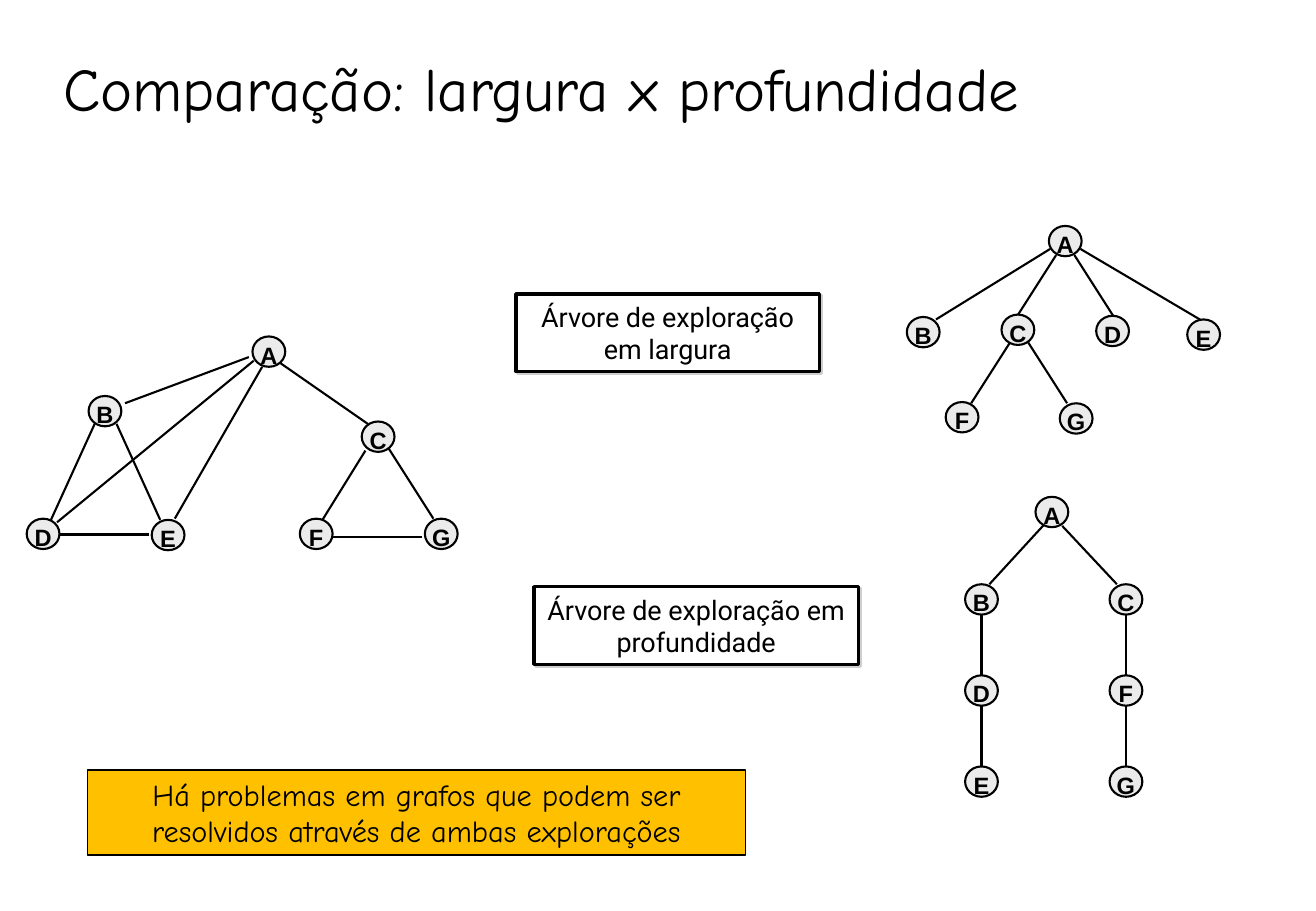
from lxml import etree
from pptx import Presentation
from pptx.dml.color import RGBColor as Rgb
from pptx.enum.shapes import MSO_CONNECTOR as Link, MSO_SHAPE as Shape
from pptx.enum.text import MSO_ANCHOR as Anchor, MSO_AUTO_SIZE as Fit, PP_ALIGN as Align
from pptx.oxml.ns import qn
from pptx.util import Inches, Pt

# Grid of square cells, ten to the inch
COLUMNS, ROWS = 108.4, 75
NODE_WIDTH, NODE_HEIGHT = 2.7, 2.5

COLORS = {"ink": "000000", "paper": "FFFFFF", "node": "EBEBEB",
          "note": "FFC000", "shadow": "CECECE"}

# Each graph: node -> (column, row), then edges as start and end points
GRAPH = {
    "nodes": {"A": (20.8, 27.7), "B": (7.3, 32.6), "C": (29.8, 34.7),
              "D": (2.2, 42.7), "E": (12.5, 42.8), "F": (24.7, 42.7),
              "G": (35, 42.7)},
    "edges": [(23.1, 29.9, 30.3, 34.9), (30.1, 37.1, 26.5, 42.9),
              (32, 36.9, 35.7, 42.7), (27.4, 44.2, 34.8, 44.2),
              (4.9, 44, 12.3, 44), (14.4, 42.7, 21.6, 30.2),
              (10.3, 33.2, 20.5, 29.4), (4.7, 43, 20.9, 29.7),
              (9.6, 34.9, 13.2, 42.8), (7.8, 34.9, 4.2, 42.8)],
}
BREADTH_TREE = {
    "nodes": {"A": (86.4, 18.6), "B": (74.7, 26.1), "C": (82.5, 25.9),
              "D": (90.3, 26), "E": (97.8, 26.3), "F": (77.9, 33.1),
              "G": (87.3, 33.2)},
    "edges": [(77.1, 26.3, 86.5, 20.5), (87, 21, 83.8, 26),
              (88.5, 21, 91.7, 26), (89, 20.5, 99, 26.4),
              (83.2, 28.2, 80, 33.2), (84.7, 28.2, 87.9, 33.2)],
}
LEFT, RIGHT = 79.5, 91.4
LEVELS = (48.1, 55.6, 63.1)
DEPTH_TREE = {
    "nodes": {"A": (85.3, 40.9),
              **{name: (LEFT, level) for name, level in zip("BDE", LEVELS)},
              **{name: (RIGHT, level) for name, level in zip("CFG", LEVELS)}},
    "edges": [(86, 43.2, 81.5, 48.1), (87.5, 43.3, 92, 48.1)] + [
        (left + NODE_WIDTH / 2, upper + NODE_HEIGHT, left + NODE_WIDTH / 2, lower)
        for left in (LEFT, RIGHT) for upper, lower in zip(LEVELS, LEVELS[1:])],
}


def cells(*counts):
    return [Inches(count / 10) for count in counts]


def color(name):
    return Rgb.from_string(COLORS[name])


def write(box, text, font="Arial", size=14, bold=False, align=Align.CENTER,
          anchor=Anchor.MIDDLE, insets=(1, 0.5, 1, 0.5), wrap=True, spacing=None):
    frame = box.text_frame
    frame.auto_size = Fit.NONE
    frame.word_wrap = wrap
    frame.vertical_anchor = anchor
    (frame.margin_left, frame.margin_top,
     frame.margin_right, frame.margin_bottom) = cells(*insets)
    para = frame.paragraphs[0]
    para.alignment = align
    para.line_spacing = spacing
    span = para.add_run()
    span.text = text
    span.font.name = font
    span.font.size = Pt(size)
    span.font.bold = bold
    span.font.color.rgb = color("ink")


def add_box(shapes, kind, place, fill, line_width):
    box = shapes.add_shape(kind, *cells(*place))
    box.shadow.inherit = False
    box.fill.solid()
    box.fill.fore_color.rgb = color(fill)
    box.line.color.rgb = color("ink")
    box.line.width = Pt(line_width)
    return box


def add_shadow(box):
    effects = box._element.spPr.find(qn("a:effectLst"))
    shadow = etree.SubElement(effects, qn("a:outerShdw"), dist=str(Pt(1.4)),
                              dir="2700000", algn="ctr", rotWithShape="0")
    etree.SubElement(shadow, qn("a:srgbClr"), val=COLORS["shadow"])


def add_edge(shapes, points):
    edge = shapes.add_connector(Link.STRAIGHT, *cells(*points))
    edge.line.color.rgb = color("ink")
    edge.line.width = Pt(1.25)
    etree.SubElement(edge._element.spPr, qn("a:effectLst"))


def add_graph(page, nodes, edges):
    group = page.shapes.add_group_shape()
    for points in edges:
        add_edge(group.shapes, points)
    for name, (left, top) in nodes.items():
        node = add_box(group.shapes, Shape.OVAL,
                       (left, top, NODE_WIDTH, NODE_HEIGHT), "node", 1.25)
        write(node, name, bold=True, wrap=False, insets=(0, 0.5, 0, 0))


def add_caption(page, text, place):
    box = add_box(page.shapes, Shape.RECTANGLE, place, "paper", 2)
    add_shadow(box)
    write(box, text, font="Roboto", size=16)


def add_title(page, text):
    title = page.shapes.title
    title.left, title.top, title.width, title.height = cells(4.2, 2.5, 97.5, 8.3)
    write(title, text, font="Comic Neue", size=36, align=Align.LEFT,
          anchor=Anchor.BOTTOM, spacing=0.9)


def main():
    deck = Presentation()
    deck.slide_width, deck.slide_height = cells(COLUMNS, ROWS)
    page = deck.slides.add_slide(deck.slide_layouts[5])
    add_title(page, "Comparação: largura x profundidade")

    # The graph and its two exploration trees
    for graph in (GRAPH, BREADTH_TREE, DEPTH_TREE):
        add_graph(page, **graph)

    # Captions of the trees
    add_caption(page, "Árvore de exploração em largura", (42.5, 24.2, 25, 6.4))
    add_caption(page, "Árvore de exploração em profundidade", (44, 48.3, 26.7, 6.4))

    # Closing remark
    note = add_box(page.shapes, Shape.RECTANGLE, (7.2, 63.4, 54.2, 7), "note", 0.75)
    write(note, "Há problemas em grafos que podem ser resolvidos através de ambas "
          "explorações", font="Comic Neue", size=18)
    deck.save("out.pptx")


if __name__ == "__main__":
    main()
